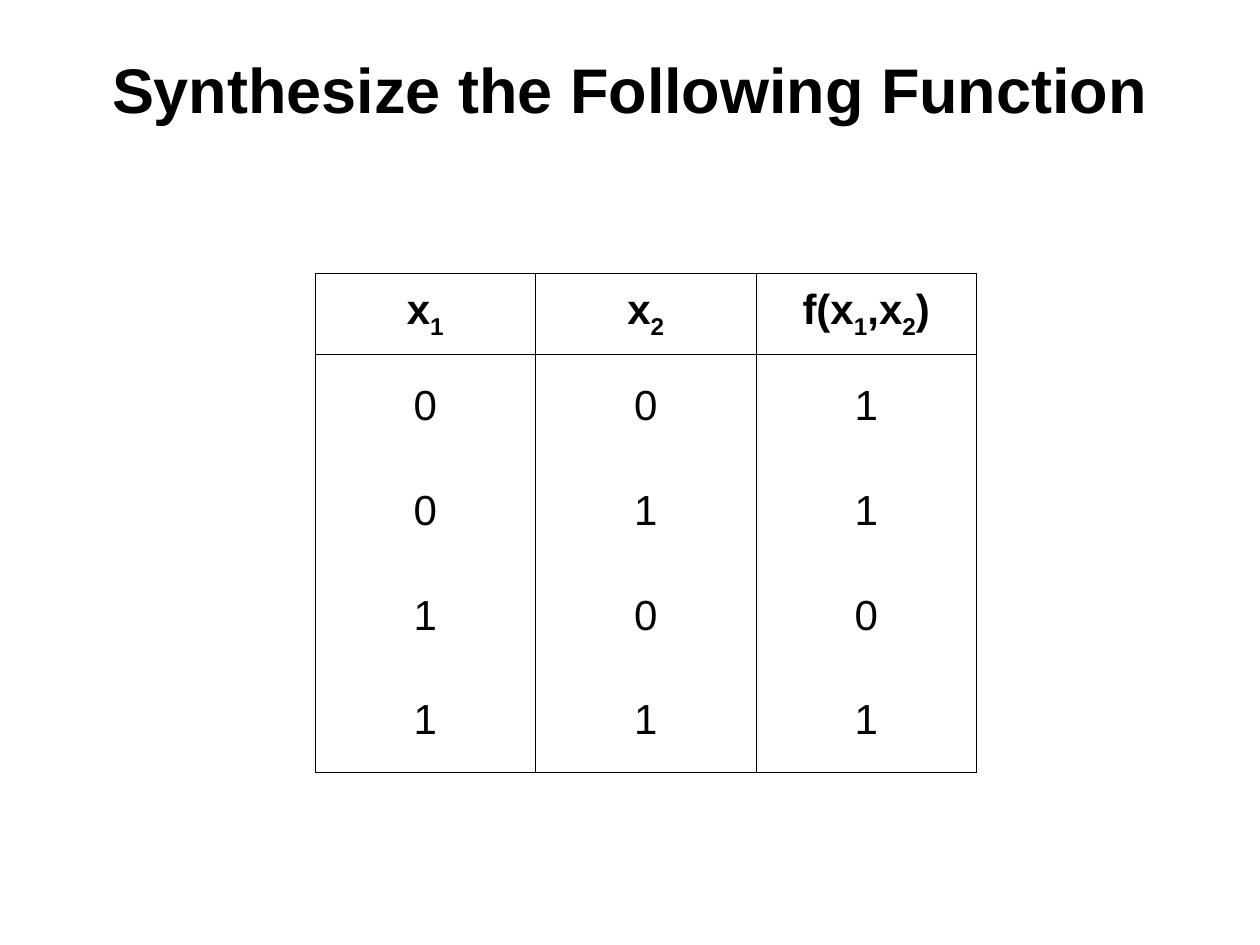
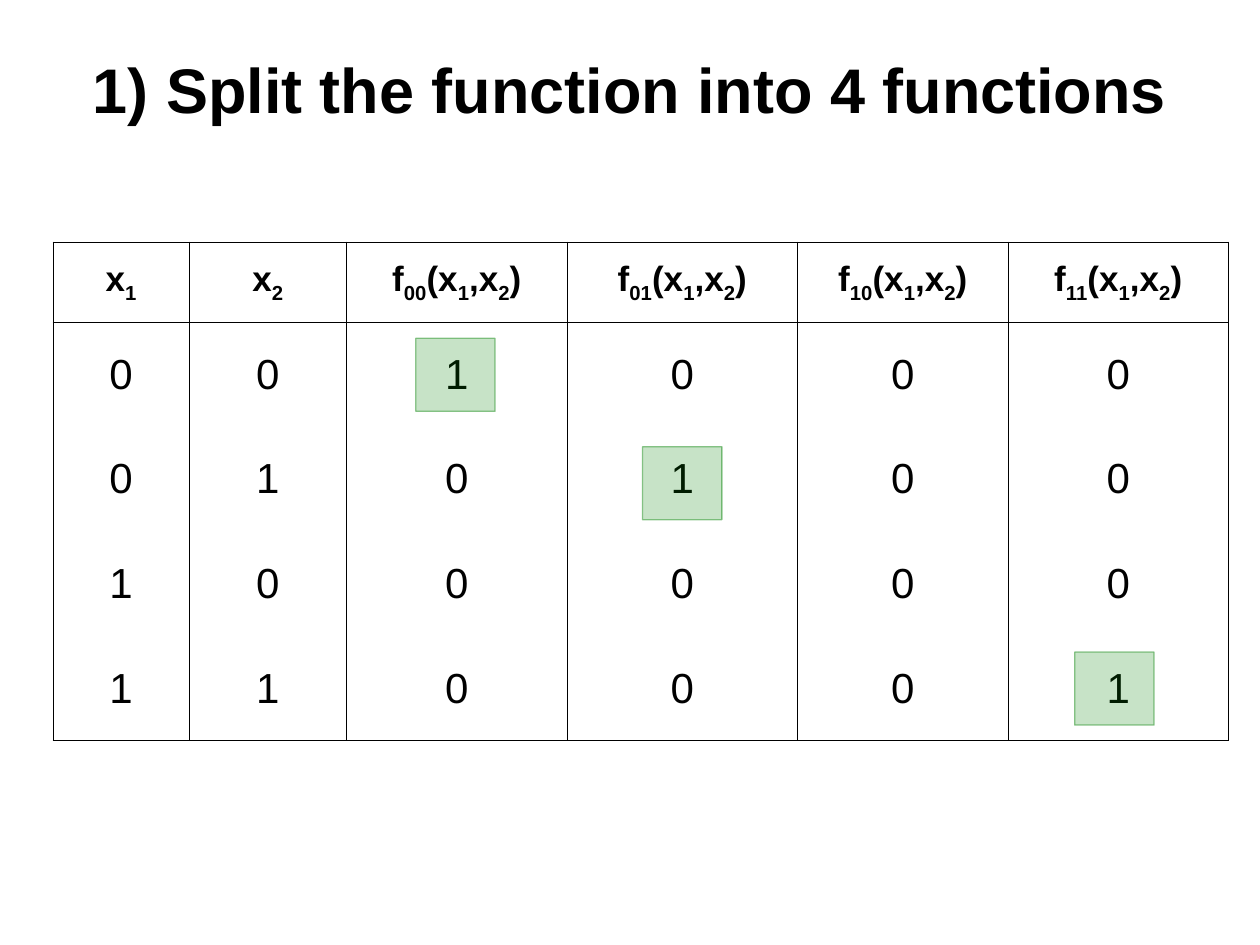
from itertools import groupby

from lxml import etree
from pptx import Presentation
from pptx import util as u
from pptx.dml.color import RGBColor
from pptx.enum import shapes, text
from pptx.oxml.ns import qn

# Content: every digit in a header is a subscript
INPUTS = [(0, 0), (0, 1), (1, 0), (1, 1)]
SLIDES = [
    {
        "title": "Synthesize the Following Function",
        "headers": ["x1", "x2", "f(x1,x2)"],
        "outputs": [(1,), (1,), (0,), (1,)],
        "corner": (2.5, 2.17),
        "columns": [1.75] * 3,
        "header_size": 24,
        "marks": [],
    },
    {
        "title": "1) Split the function into 4 functions",
        "headers": ["x1", "x2"] + [f"f{a}{b}(x1,x2)" for a, b in INPUTS],
        "outputs": [(1, 0, 0, 0), (0, 1, 0, 0), (0, 0, 0, 0), (0, 0, 0, 1)],
        "corner": (0.42, 1.92),
        "columns": [1.08, 1.25, 1.75, 1.83, 1.67, 1.75],
        "header_size": 20,
        # row, column, and offset from the cell's centre
        "marks": [(1, 2, -0.01, 0), (2, 3, 0, 0.03), (4, 5, -0.03, 0)],
    },
]

# Shared style
COLORS = {"ink": "000000", "mark": "008000"}
FONT = "Arial"
WIDTH, HEIGHT = 10, 7.5
TITLE_BOX = (0, 0.33, WIDTH, HEIGHT / 10)
ROWS = [0.64] + [0.83] * len(INPUTS)
MARK_SIZE = (0.63, 0.58)
BORDER = 0.45
NO_STYLE = "{2D5ABB26-0587-4C30-8999-92F81FD0307C}"


def color(name):
    return RGBColor.from_string(COLORS[name])


def inches(values):
    return [u.Inches(value) for value in values]


def format_paragraph(para, size, bold):
    para.alignment = text.PP_ALIGN.CENTER
    para.font.name, para.font.size, para.font.bold = FONT, u.Pt(size), bold
    para.font.color.rgb = color("ink")


def add_title(page, words):
    title = page.shapes.title
    title.left, title.top, title.width, title.height = inches(TITLE_BOX)
    title.text_frame.text = words
    title.text_frame.vertical_anchor = text.MSO_ANCHOR.MIDDLE
    format_paragraph(title.text_frame.paragraphs[0], 36, True)


def set_borders(cell, sides):
    """Rule the given sides (of L, R, T, B) and leave the others open."""
    properties = cell._tc.get_or_add_tcPr()
    for place, side in enumerate("LRTB"):
        line = etree.Element(qn(f"a:ln{side}"), w=str(u.Pt(BORDER)))
        if side in sides:
            fill = etree.SubElement(line, qn("a:solidFill"))
            etree.SubElement(fill, qn("a:srgbClr"), val=COLORS["ink"])
        else:
            etree.SubElement(line, qn("a:noFill"))
        properties.insert(place, line)


def add_truth_table(page, content):
    body = [left + right for left, right in zip(INPUTS, content["outputs"])]
    grid = [content["headers"]] + body
    columns = content["columns"]
    box = inches((*content["corner"], sum(columns), sum(ROWS)))
    frame = page.shapes.add_table(len(ROWS), len(columns), *box)
    table = frame.table
    table.first_row = table.horz_banding = False
    table._tbl.tblPr.find(qn("a:tableStyleId")).text = NO_STYLE
    for column, width in zip(table.columns, columns):
        column.width = u.Inches(width)

    for r, values in enumerate(grid):
        table.rows[r].height = u.Inches(ROWS[r])
        sides = {0: "LRTB", 1: "LRT", len(body): "LRB"}.get(r, "LR")
        for c, value in enumerate(values):
            cell = table.cell(r, c)
            cell.vertical_anchor = text.MSO_ANCHOR.MIDDLE
            cell.fill.background()
            set_borders(cell, sides)
            para = cell.text_frame.paragraphs[0]
            format_paragraph(para, 24 if r else content["header_size"], r == 0)
            for is_digit, letters in groupby(str(value), str.isdigit):
                span = para.add_run()
                span.text = "".join(letters)
                if r == 0 and is_digit:
                    span.font._element.set("baseline", "-25000")


def set_alpha(shape, fill_share, line_share):
    shades = shape._element.spPr.iter(qn("a:srgbClr"))
    for shade, share in zip(shades, (fill_share, line_share)):
        etree.SubElement(shade, qn("a:alpha"), val=str(share * 1000))


def add_mark(page, content, row, column, dx, dy):
    """Put a translucent green box over one cell."""
    left, top = content["corner"]
    columns = content["columns"]
    width, height = MARK_SIZE
    x = left + sum(columns[:column]) + (columns[column] - width) / 2 + dx
    y = top + sum(ROWS[:row]) + (ROWS[row] - height) / 2 + dy
    mark = page.shapes.add_shape(
        shapes.MSO_SHAPE.RECTANGLE, *inches((x, y, width, height)))
    mark.shadow.inherit = False
    mark.fill.solid()
    mark.fill.fore_color.rgb = color("mark")
    mark.line.color.rgb = color("mark")
    mark.line.width = u.Pt(0.75)
    set_alpha(mark, 22, 43)


def main():
    deck = Presentation()
    deck.slide_width, deck.slide_height = inches((WIDTH, HEIGHT))
    title_only = deck.slide_layouts[5]
    for content in SLIDES:
        page = deck.slides.add_slide(title_only)
        add_title(page, content["title"])
        add_truth_table(page, content)
        for mark in content["marks"]:
            add_mark(page, content, *mark)
    deck.save("out.pptx")


if __name__ == "__main__":
    main()
